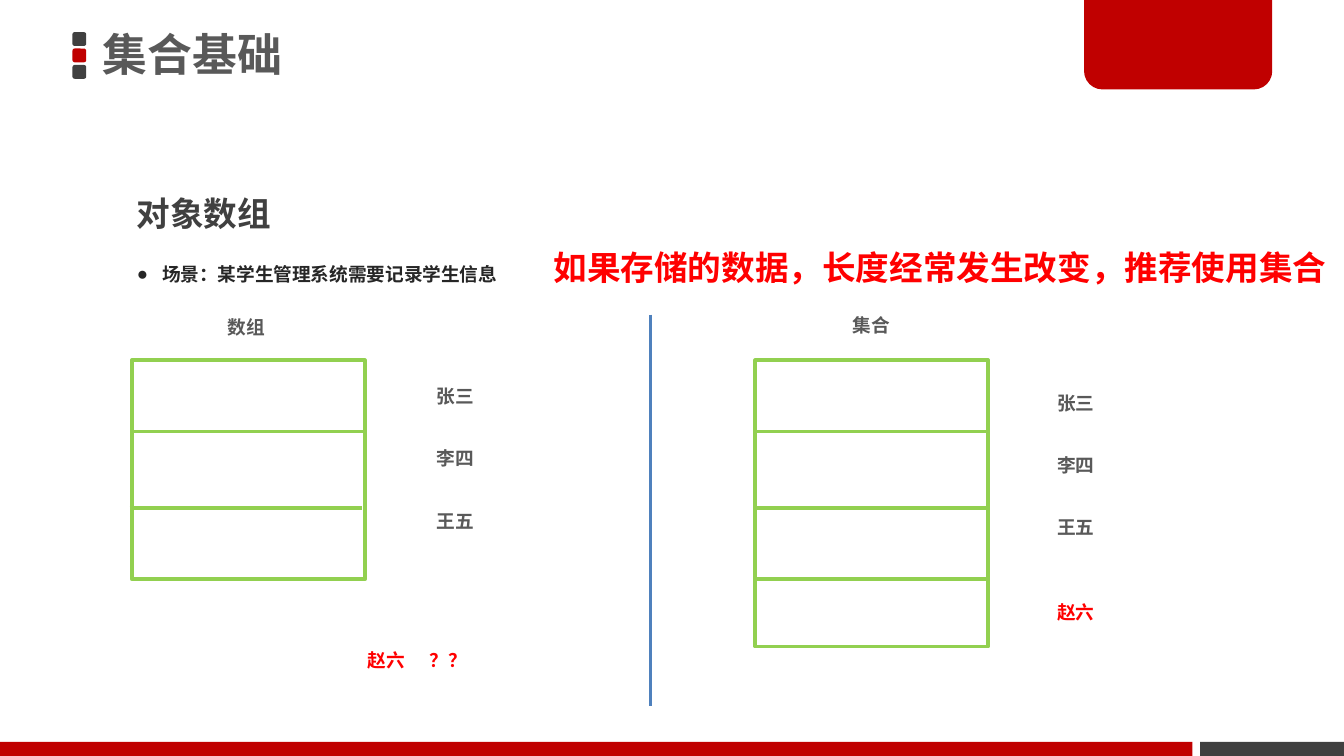
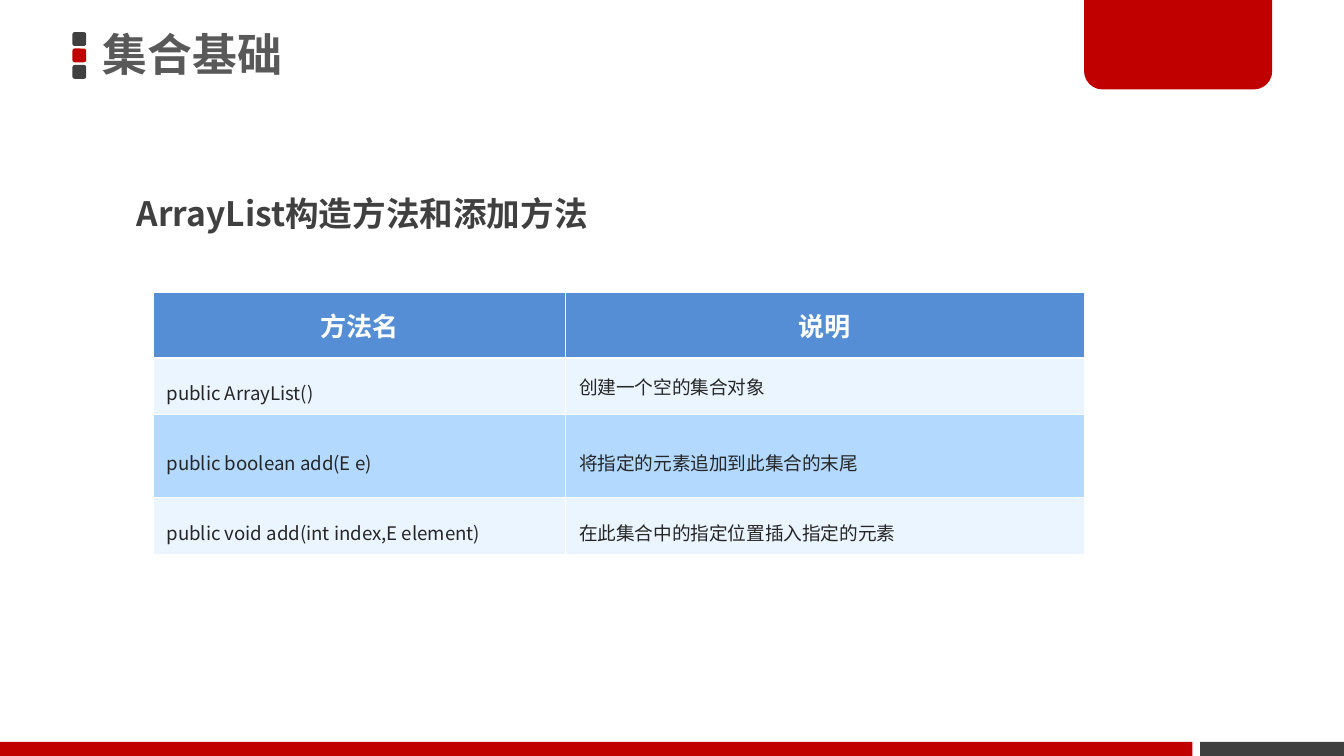
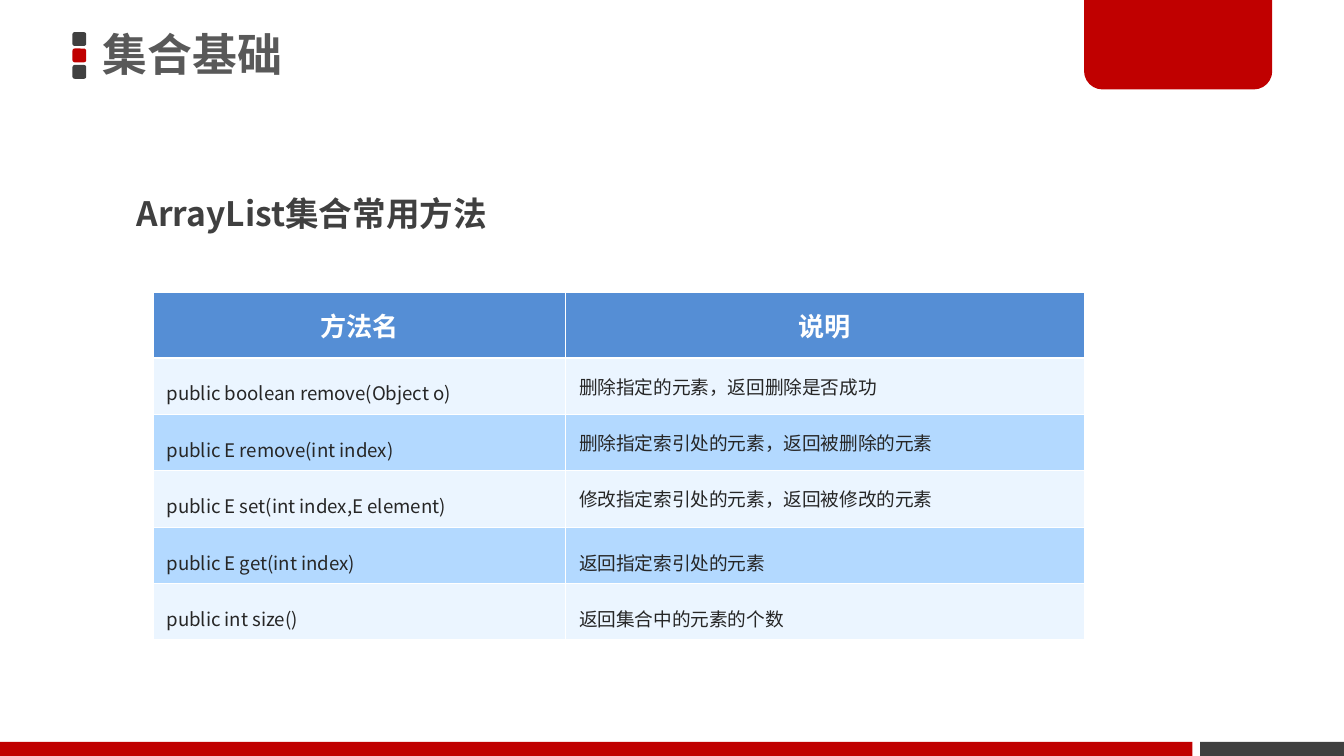
from lxml.etree import SubElement
from pptx import Presentation
from pptx.dml.color import RGBColor
from pptx.enum.shapes import MSO_CONNECTOR, MSO_SHAPE
from pptx.enum.text import MSO_ANCHOR, MSO_AUTO_SIZE, PP_ALIGN
from pptx.oxml.ns import qn
from pptx.util import Pt

FONT = "Noto Sans CJK SC"
COLORS = {
    "red": "C00000", "dark": "404040", "title": "595959", "ink": "262626",
    "alert": "FF0000", "green": "92D050", "divider": "4F81BD",
    "header": "558ED5", "light_row": "EBF5FF", "dark_row": "B3D9FF",
    "white": "FFFFFF",
}
TITLE_LAYOUT, LIST_LAYOUT = 5, 1
STUDENTS = ["张三", "李四", "王五"]
LABEL_WIDTH, LABEL_HEIGHT = 36, 19.4


def rgb(color):
    return RGBColor.from_string(COLORS[color])


def points(*values):
    return [Pt(value) for value in values]


# Shared helpers
def format_paragraph(paragraph, size, color, bold=True, spacing=None,
                     alignment=PP_ALIGN.LEFT):
    paragraph.alignment = alignment
    if spacing:
        paragraph.line_spacing = spacing
    font = paragraph.font
    font.size, font.bold, font.name = Pt(size), bold, FONT
    font.color.rgb = rgb(color)
    SubElement(font._element, qn("a:ea"), typeface=FONT)


def add_label(slide, box, lines, size=10, color="title", wrap=False,
              spacing=None, gap=0):
    frame = slide.shapes.add_textbox(*points(*box)).text_frame
    frame.word_wrap = wrap
    frame.auto_size = MSO_AUTO_SIZE.SHAPE_TO_FIT_TEXT
    frame.text = "\n".join(lines)
    for index, paragraph in enumerate(frame.paragraphs):
        if index:
            paragraph.space_before = Pt(gap)
        format_paragraph(paragraph, size, color, spacing=spacing)


def add_word(slide, left, top, word, color="title"):
    add_label(slide, (left, top, LABEL_WIDTH, LABEL_HEIGHT), [word],
              color=color)


def add_block(shapes, kind, box, color):
    shape = shapes.add_shape(kind, *points(*box))
    shape.shadow.inherit = False
    shape.fill.solid()
    shape.fill.fore_color.rgb = rgb(color)
    shape.line.fill.background()
    return shape


def add_outline(slide, box):
    shape = slide.shapes.add_shape(MSO_SHAPE.RECTANGLE, *points(*box))
    shape.shadow.inherit = False
    shape.fill.background()
    shape.line.color.rgb = rgb("green")
    shape.line.width = Pt(2)


def add_line(slide, start, end, color):
    line = slide.shapes.add_connector(
        MSO_CONNECTOR.STRAIGHT, *points(*start, *end))
    line.line.color.rgb = rgb(color)
    line.line.width = Pt(2)
    SubElement(line._element.spPr, qn("a:effectLst"))


# Title, heading, marker squares, corner flap and footer band
def add_framed_slide(presentation, layout, heading, heading_width):
    slide = presentation.slides.add_slide(presentation.slide_layouts[layout])
    shapes = slide.shapes

    markers = shapes.add_group_shape()
    for row, color in enumerate(["dark", "red", "dark"]):
        add_block(markers.shapes, MSO_SHAPE.ROUNDED_RECTANGLE,
                  (38.8, 17.2 + 8.8 * row, 7.4, 7.4), color)

    add_block(shapes, MSO_SHAPE.RECTANGLE, (643, 397.5, 77, 7.5), "dark")
    add_block(shapes, MSO_SHAPE.RECTANGLE, (0, 397.5, 638.8, 7.5), "red")
    flap = add_block(shapes, MSO_SHAPE.ROUND_2_SAME_RECTANGLE,
                     (580.8, -1.4, 100.8, 49.3), "red")
    flap.adjustments[0], flap.adjustments[1] = 0, 0.2

    title = shapes.title
    title.left, title.top, title.width, title.height = points(
        49.2, -1.4, 424, 64)
    frame = title.text_frame
    frame.text = "集合基础"
    frame.auto_size = MSO_AUTO_SIZE.NONE
    frame.vertical_anchor = MSO_ANCHOR.MIDDLE
    frame.margin_left = frame.margin_right = Pt(5.8)
    frame.margin_top = frame.margin_bottom = Pt(2.9)
    format_paragraph(frame.paragraphs[0], 24, "title", spacing=0.9)

    add_label(slide, (66.2, 89, heading_width, 39.6), [heading], 18, "dark",
              wrap=True, spacing=1.5)
    return slide


def fill_scenario(slide, box, text):
    body = slide.placeholders[1]
    body.left, body.top, body.width, body.height = points(*box)
    frame = body.text_frame
    frame.text = text
    frame.auto_size = MSO_AUTO_SIZE.NONE
    paragraph = frame.paragraphs[0]
    paragraph.space_before = Pt(0)
    paragraph.line_spacing = 1.5
    properties = paragraph._p.get_or_add_pPr()
    properties.set("marL", str(Pt(13.5)))
    properties.set("indent", str(-Pt(13.5)))
    bullet_color = SubElement(properties, qn("a:buClr"))
    SubElement(bullet_color, qn("a:srgbClr"), val=COLORS["ink"])
    SubElement(properties, qn("a:buChar"), char="●")
    format_paragraph(paragraph, 10, "ink")


# Stack of three storage cells with its rules
def add_storage(slide, box):
    left, top, width, height = box
    add_outline(slide, box)
    for shift, offset in [(0, 38.2), (-1.2, 79.2), (0, height)]:
        add_line(slide, (left + shift, top + offset),
                 (left + shift + width, top + offset), "green")


def add_students(slide, left, top):
    add_label(slide, (left, top, LABEL_WIDTH, 103.7), STUDENTS, gap=21.4)


def add_comparison_slide(presentation):
    slide = add_framed_slide(presentation, LIST_LAYOUT, "对象数组", 276.5)
    fill_scenario(slide, (66.2, 131, 221, 25.2),
                  "场景：某学生管理系统需要记录学生信息")
    add_line(slide, (348.5, 168.5), (348.5, 378), "divider")
    top, width, height = 193, 124.8, 117.4

    # Fixed array: no room for the fourth student
    add_storage(slide, (70.6, top, width, height))
    add_word(slide, 115, 165.8, "数组")
    add_students(slide, 226.8, 202.5)
    add_word(slide, 190, 344.2, "赵六", "alert")
    add_word(slide, 223.2, 344.2, "？？", "alert")

    # Growing collection: one more cell below
    add_storage(slide, (404.6, top, width, height))
    add_outline(slide, (404.6, top + height, width, 36))
    add_word(slide, 449.6, 164.5, "集合")
    add_students(slide, 559.4, 206.2)
    add_word(slide, 559.4, 318.2, "赵六", "alert")

    add_label(slide, (289.4, 128.5, 430, 28.8),
              ["如果存储的数据，长度经常发生改变，推荐使用集合"], 18, "alert")


def set_borders(cell, top, bottom):
    properties = cell._tc.get_or_add_tcPr()
    widths = {"lnL": 0.45, "lnR": 0.45, "lnT": top, "lnB": bottom}
    for side, width in widths.items():
        line = SubElement(properties, qn(f"a:{side}"), w=str(Pt(width)))
        fill = SubElement(line, qn("a:solidFill"))
        SubElement(fill, qn("a:srgbClr"), val=COLORS["white"])


# Each method is (signature, description, line spacing of description, height)
def add_method_table(slide, left, top, methods):
    columns = [221, 278]
    rows = [("方法名", "说明", None, 35), *methods]
    total_height = sum(row[3] for row in rows)
    table = slide.shapes.add_table(
        len(rows), len(columns),
        *points(left, top, sum(columns), total_height)).table
    for column, width in zip(table.columns, columns):
        column.width = Pt(width)

    for index, (signature, description, spacing, height) in enumerate(rows):
        table.rows[index].height = Pt(height)
        cells = table.rows[index].cells
        for cell, text, line_spacing in zip(
                cells, [signature, description], [1.5, spacing]):
            cell.text = text
            paragraph = cell.text_frame.paragraphs[0]
            set_borders(cell, 1.47 if index == 1 else 0.45,
                        1.47 if index == 0 else 0.45)
            cell.fill.solid()
            if index == 0:
                cell.fill.fore_color.rgb = rgb("header")
                format_paragraph(paragraph, 14, "white", spacing=Pt(24),
                                 alignment=PP_ALIGN.CENTER)
            else:
                cell.fill.fore_color.rgb = rgb(
                    "light_row" if index % 2 else "dark_row")
                cell.vertical_anchor = MSO_ANCHOR.MIDDLE
                format_paragraph(paragraph, 10, "ink", False, line_spacing)


def add_method_slide(presentation, heading, heading_width, methods):
    slide = add_framed_slide(presentation, TITLE_LAYOUT, heading, heading_width)
    add_method_table(slide, 82, 156.8, methods)


def main():
    presentation = Presentation()
    presentation.slide_width, presentation.slide_height = points(720, 405)

    add_comparison_slide(presentation)
    add_method_slide(presentation, "ArrayList构造方法和添加方法", 503.3, [
        ("public ArrayList()", "创建一个空的集合对象", None, 30.2),
        ("public boolean add(E e)", "将指定的元素追加到此集合的末尾", 1.5, 44.6),
        ("public void add(int index,E element)",
         "在此集合中的指定位置插入指定的元素", 1.5, 30.2),
    ])
    add_method_slide(presentation, "ArrayList集合常用方法", 276.5, [
        ("public boolean remove(Object o)",
         "删除指定的元素，返回删除是否成功", None, 30.2),
        ("public E remove(int index)",
         "删除指定索引处的元素，返回被删除的元素", None, 30.2),
        ("public E set(int index,E element)",
         "修改指定索引处的元素，返回被修改的元素", None, 30.2),
        ("public E get(int index)", "返回指定索引处的元素", 1.5, 30.2),
        ("public int size()", "返回集合中的元素的个数", 1.5, 30.2),
    ])
    presentation.save("out.pptx")


if __name__ == "__main__":
    main()
